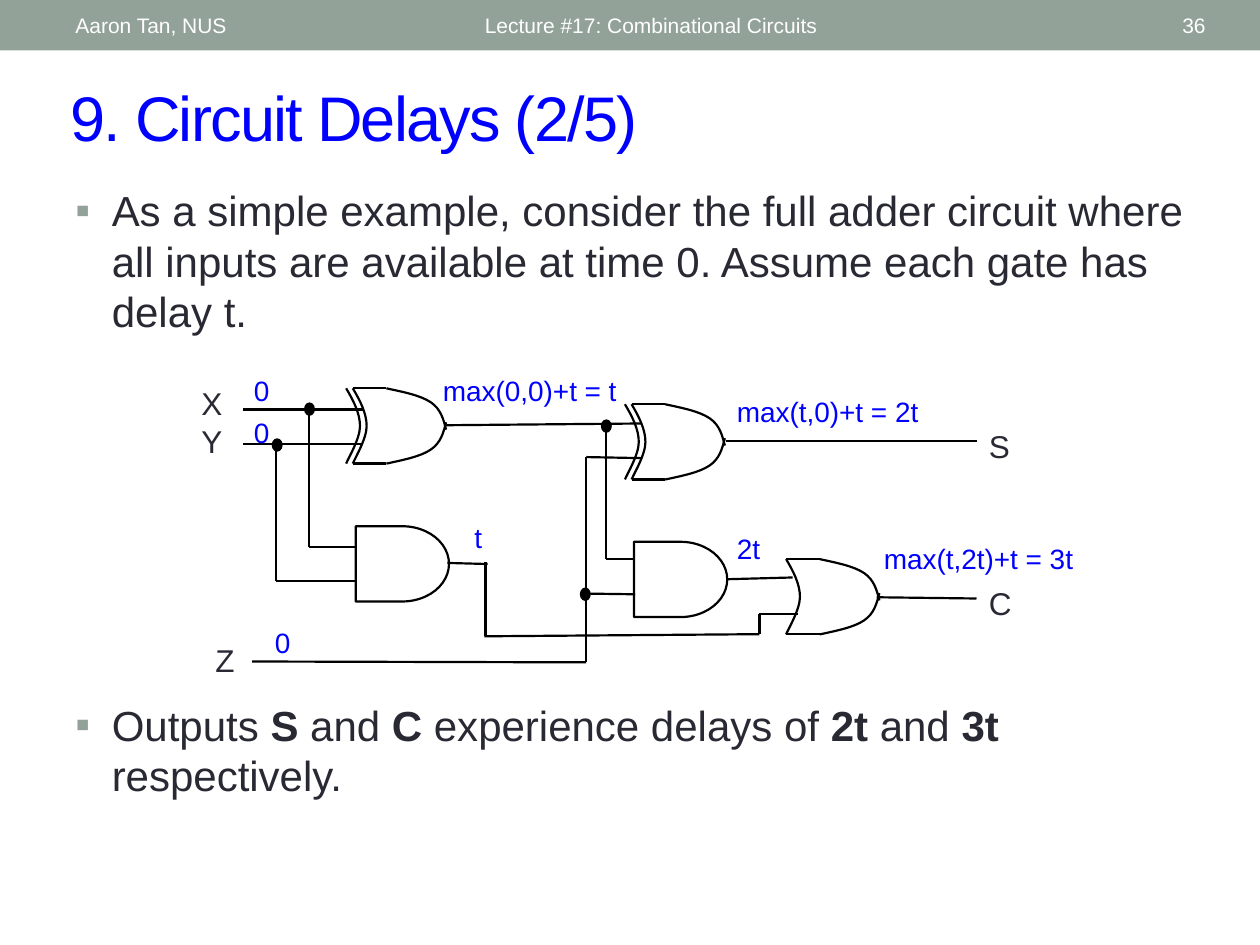
import pptx
import pptx.util
import pptx.dml.color
import pptx.enum.shapes
import pptx.enum.text
import pptx.oxml.ns
import lxml.etree

Pt = pptx.util.Pt
tag = pptx.oxml.ns.qn
add = lxml.etree.SubElement
SHAPE = pptx.enum.shapes.MSO_SHAPE
ALIGN = pptx.enum.text.PP_ALIGN
MIDDLE = pptx.enum.text.MSO_ANCHOR.MIDDLE
COLORS = {"bar": "93A299", "blue": "0000FF", "dark": "292934",
          "white": "FFFFFF", "black": "000000"}
RGB = {name: pptx.dml.color.RGBColor.from_string(code)
       for name, code in COLORS.items()}

deck = pptx.Presentation()
deck.slide_width, deck.slide_height = Pt(720), Pt(540)
slide = deck.slides.add_slide(deck.slide_layouts[5])
shapes = slide.shapes


def write(text, left, top, width, height, size=16, color="blue", align=ALIGN.LEFT,
          anchor=None, box=None, bullet=False, track=0):
    """Set text in a box; newlines part paragraphs, ** turns bold on and off."""
    box = box or shapes.add_textbox(0, 0, 0, 0)
    box.left, box.top, box.width, box.height = map(Pt, (left, top, width, height))
    frame = box.text_frame
    frame.word_wrap = True
    if anchor is not None:
        frame.vertical_anchor = anchor
    for i, line in enumerate(text.split("\n")):
        para = frame.add_paragraph() if i else frame.paragraphs[0]
        para.alignment = align
        for j, part in enumerate(line.split("**")):
            if not part:
                continue
            run = para.add_run()
            run.text = part
            font = run.font
            font.name, font.size, font.bold = "Arial", Pt(size), j % 2 == 1
            font.color.rgb = RGB[color]
            if track:
                run._r.get_or_add_rPr().set("spc", str(track * 100))
        if bullet:
            props = para._p.get_or_add_pPr()
            props.set("marL", str(Pt(20.8)))
            props.set("indent", str(-Pt(20.8)))
            add(add(props, tag("a:buClr")), tag("a:srgbClr"), val=COLORS["bar"])
            add(props, tag("a:buFont"), typeface="Arial")
            add(props, tag("a:buChar"), char="▪")


def ink(shape, fill=None):
    """Give a shape a thin black line and a plain fill or none."""
    shape.shadow.inherit = False
    shape.line.color.rgb = RGB["black"]
    shape.line.width = Pt(1.25)
    if fill:
        shape.fill.solid()
        shape.fill.fore_color.rgb = RGB[fill]
    else:
        shape.fill.background()


# Header and title
bar = shapes.add_shape(SHAPE.RECTANGLE, 0, 0, Pt(720), Pt(28.8))
bar.shadow.inherit = False
bar.fill.solid()
bar.fill.fore_color.rgb = RGB["bar"]
bar.line.fill.background()
for text, left, width, align in [
        ("Aaron Tan, NUS", 36, 228, ALIGN.LEFT),
        ("Lecture #17: Combinational Circuits", 270, 324, ALIGN.LEFT),
        ("36", 628, 68, ALIGN.RIGHT)]:
    write(text, left, 1.4, width, 26, size=12, color="white", align=align, anchor=MIDDLE)
write("9. Circuit Delays (2/5)", 33, 41, 663, 50.4, size=36, anchor=MIDDLE,
      box=shapes.title, track=-1)

# Body
for text, top, height in [
        ("As a simple example, consider the full adder circuit where all inputs "
         "are available at time 0. Assume each gate has delay t.", 102, 132),
        ("Outputs **S** and **C** experience delays of **2t **and **3t** respectively.",
         396, 66)]:
    write(text, 36, top, 648, height, size=24, color="dark", bullet=True)

# Wires
wires = [
    (139, 234, 207.4, 234), (139, 253.6, 207.4, 253.6),          # X, Y
    (176.6, 234, 176.6, 312.5), (176.6, 312.5, 203, 312.5),      # X to AND
    (157.6, 253.6, 157.6, 332), (157.6, 332, 203, 332),          # Y to AND
    (255, 243, 366.5, 242),                                      # first XOR out
    (346.5, 242, 346.5, 319.5), (346.5, 319.5, 361.8, 319.5),
    (255.6, 321.7, 278.6, 322.3), (277.4, 321.4, 277.4, 363.6),  # first AND out
    (276.8, 363.6, 434, 362.4), (434, 362.4, 434, 350.8), (434, 350.8, 456, 350.8),
    (144, 378, 335, 378.5), (335, 378.5, 335, 261.2),            # Z
    (335, 261.2, 366.5, 261.8), (335, 339.2, 363, 339.6),
    (414.7, 252, 558, 252),                                      # S
    (416, 331, 453, 330), (501, 341.3, 558, 342),                # C
]

# OR and XOR gates: Bezier points relative to the top left corner
TALL, FLAT = 43, 19.2
back = [(0, 0), (4.3, 7.2), (7.9, 14.4), (7.9, 21.6), (7.9, 28.8), (1.4, 39.6), (0, TALL)]
upper = [(FLAT, 0), (29.3, 2.2), (38.6, 4), (44.6, 8), (50.4, 12), (51.8, 17.7), (53.3, 23.6)]
lower = [(x, TALL - y) for x, y in upper]
twin = [(x - 3.8, y) for x, y in back]
for left, top, kind in [(201.6, 221.9, "xor"), (360.9, 231, "xor"), (449.2, 319.5, "or")]:
    wires += [(left, y, left + FLAT, y) for y in (top, top + TALL)]
    for curve in [back, upper, lower] + ([twin] if kind == "xor" else []):
        start, *rest = [(Pt(left + x), Pt(top + y)) for x, y in curve]
        pen = shapes.build_freeform(*start)
        pen.add_line_segments(rest, close=False)
        arc = pen.convert_to_shape()
        ink(arc)
        steps = list(arc._element.iter(tag("a:lnTo")))
        track = steps[0].getparent()
        for k in range(0, len(steps), 3):
            bend = add(track, tag("a:cubicBezTo"))
            for step in steps[k:k + 3]:
                bend.append(step[0])
                track.remove(step)

for wire in wires:
    line = shapes.add_connector(pptx.enum.shapes.MSO_CONNECTOR.STRAIGHT, *map(Pt, wire))
    line.line.color.rgb = RGB["black"]
    line.line.width = Pt(1.25)
    add(line._element.spPr, tag("a:effectLst"))

# AND gates and joints
for left, top in [(203.3, 300.7), (362.3, 309.6)]:
    ink(shapes.add_shape(SHAPE.FLOWCHART_DELAY, Pt(left), Pt(top), Pt(53.3), Pt(43)))
for x, y in [(158.4, 254.3), (176.9, 233.8), (334.5, 339.6), (346.5, 243.5)]:
    ink(shapes.add_shape(SHAPE.OVAL, Pt(x - 2.5), Pt(y - 3.2), Pt(5), Pt(6.4)), "black")

# Signal names and delays
for text, left, top, height in [("X\nY", 108, 216, 43), ("Z", 116, 363, 27),
                                ("S", 558, 240.5, 27), ("C", 558, 330, 27)]:
    write(text, left, top, 30, height, size=18, color="dark")
for text, left, top, width in [
        ("0", 138, 210, 24), ("0", 138, 234, 24), ("0", 150, 354, 24),
        ("max(0,0)+t = t", 246, 210, 119), ("t", 264, 294, 19),
        ("max(t,0)+t = 2t", 414, 222, 126), ("2t", 414, 300, 30),
        ("max(t,2t)+t = 3t", 498, 306, 126)]:
    write(text, left, top, width, 27)

deck.save("out.pptx")
